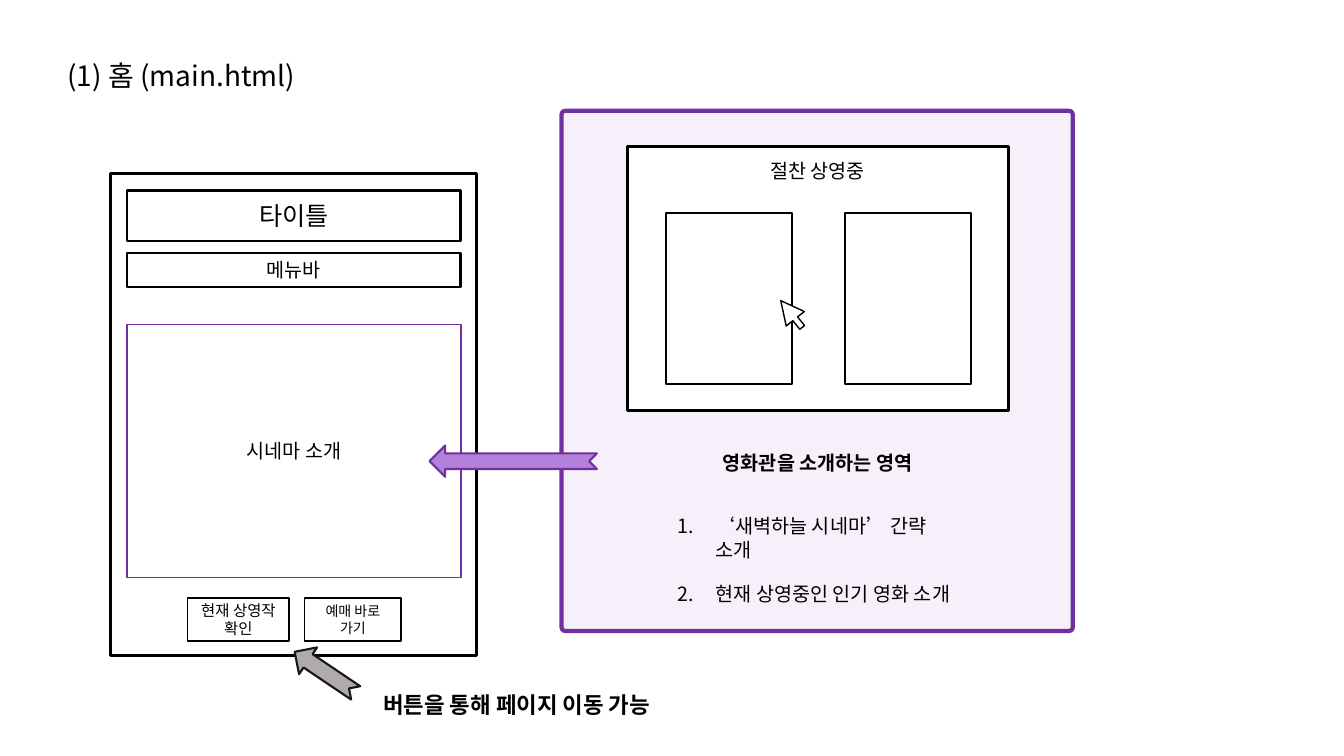
from lxml.etree import SubElement
from pptx import Presentation
from pptx.dml.color import RGBColor
from pptx.enum.shapes import MSO_SHAPE as Preset
from pptx.enum.text import MSO_ANCHOR as Anchor, MSO_AUTO_SIZE as AutoSize, PP_ALIGN as Align
from pptx.oxml.ns import qn
from pptx.util import Inches, Pt

BLACK = RGBColor(0x00, 0x00, 0x00)
WHITE = RGBColor(0xFF, 0xFF, 0xFF)
PURPLE = RGBColor(0x70, 0x30, 0xA0)
LILAC = RGBColor(0xB3, 0x81, 0xD9)
PALE = RGBColor(0xF6, 0xF0, 0xFA)
GRAY = RGBColor(0xAF, 0xAB, 0xAB)
CHARCOAL = RGBColor(0x18, 0x17, 0x17)


class Wireframe:
    font = "Noto Sans CJK KR"

    def __init__(self, page):
        self.page = page
        self.shapes = page.shapes

    def start_group(self):
        self.shapes = self.page.shapes.add_group_shape().shapes

    def end_group(self):
        self.shapes = self.page.shapes

    def set_text(self, para, text, size, bold=False, align=Align.CENTER):
        para.text = text
        para.alignment = align
        for span in para.runs:
            span.font.size = Pt(size)
            span.font.bold = bold
            span.font.name = self.font
            span.font.color.rgb = BLACK
            SubElement(span.font._element, qn("a:ea"), typeface=self.font)

    def shape(self, preset, place, fill=WHITE, line=BLACK, weight=1.25, turn=0, adjust=()):
        shape = self.shapes.add_shape(preset, *map(Inches, place))
        shape.shadow.inherit = False
        shape.fill.solid()
        shape.fill.fore_color.rgb = fill
        shape.line.color.rgb = line
        shape.line.width = Pt(weight)
        shape.rotation = turn
        for index, value in enumerate(adjust):
            shape.adjustments[index] = value
        return shape

    def box(self, place, text="", size=14, line=BLACK, weight=1.25):
        box = self.shape(Preset.RECTANGLE, place, line=line, weight=weight)
        box.text_frame.vertical_anchor = Anchor.MIDDLE
        if text:
            self.set_text(box.text_frame.paragraphs[0], text, size)
        return box

    def label(self, place, text, size, bold=False, align=Align.CENTER, wrap=False):
        label = self.shapes.add_textbox(*map(Inches, place))
        frame = label.text_frame
        frame.word_wrap = wrap
        frame.auto_size = AutoSize.SHAPE_TO_FIT_TEXT
        self.set_text(frame.paragraphs[0], text, size, bold, align)
        return frame

    def numbered(self, frame, text, size, gap):
        para = frame.add_paragraph()
        self.set_text(para, text, size, align=Align.LEFT)
        para.space_before = Pt(gap)
        properties = para._p.get_or_add_pPr()
        properties.set("marL", str(Inches(0.38)))
        properties.set("indent", str(-Inches(0.38)))
        SubElement(properties, qn("a:buFont"), typeface="+mj-lt")
        SubElement(properties, qn("a:buAutoNum"), type="arabicPeriod")


deck = Presentation()
deck.slide_width = Inches(13.33)
deck.slide_height = Inches(7.5)
wireframe = Wireframe(deck.slides.add_slide(deck.slide_layouts[6]))

wireframe.label((0.57, 0.53, 2.66, 0.44), "(1) 홈 (main.html)", 20, align=Align.LEFT)

wireframe.start_group()
wireframe.box((1.1, 1.72, 3.63, 4.78), weight=2)
for top, height, text, size, line, weight in (
    (1.89, 0.5, "타이틀", 18, BLACK, 1.75),
    (2.51, 0.34, "메뉴바", 14, BLACK, 1.75),
    (3.22, 2.51, "시네마 소개", 14, PURPLE, 1.25),
):
    wireframe.box((1.26, top, 3.31, height), text, size, line, weight)

wireframe.start_group()
wireframe.shape(Preset.ROUNDED_RECTANGLE, (5.57, 1.1, 5.07, 5.16), PALE, PURPLE, 3, adjust=(0.007,))
intro = wireframe.label((6.62, 4.42, 2.98, 1.37), "영화관을 소개하는 영역", 14, bold=True)
for text, gap in (("‘새벽하늘 시네마’ 간략 소개", 28.8), ("현재 상영중인 인기 영화 소개", 14.4)):
    wireframe.numbered(intro, text, 14, gap)
showing = wireframe.box((6.22, 1.45, 3.78, 2.62), "절찬 상영중", weight=2)
showing.text_frame.vertical_anchor = Anchor.TOP
showing.text_frame.margin_top = Inches(0.13)
for left in (6.61, 8.38):
    wireframe.box((left, 2.11, 1.25, 1.7), weight=1.5)
wireframe.shape(Preset.RIGHT_ARROW, (7.68, 3, 0.34, 0.23), weight=1, turn=231.4, adjust=(0.26, 1))
wireframe.end_group()

for left, width, text, size in ((1.86, 1.01, "현재 상영작 확인", 11), (3.02, 0.96, "예매 바로 가기", 10)):
    wireframe.box((left, 5.93, width, 0.43), text, size)
wireframe.shape(Preset.NOTCHED_RIGHT_ARROW, (2.86, 6.51, 0.73, 0.32), GRAY, CHARCOAL, 1.5, 214)
wireframe.label((3.61, 6.81, 3.03, 0.37), "버튼을 통해 페이지 이동 가능", 16, bold=True, wrap=True)
wireframe.shape(Preset.NOTCHED_RIGHT_ARROW, (4.26, 4.42, 1.66, 0.31), LILAC, PURPLE, 1.5, 180)

deck.save("out.pptx")
